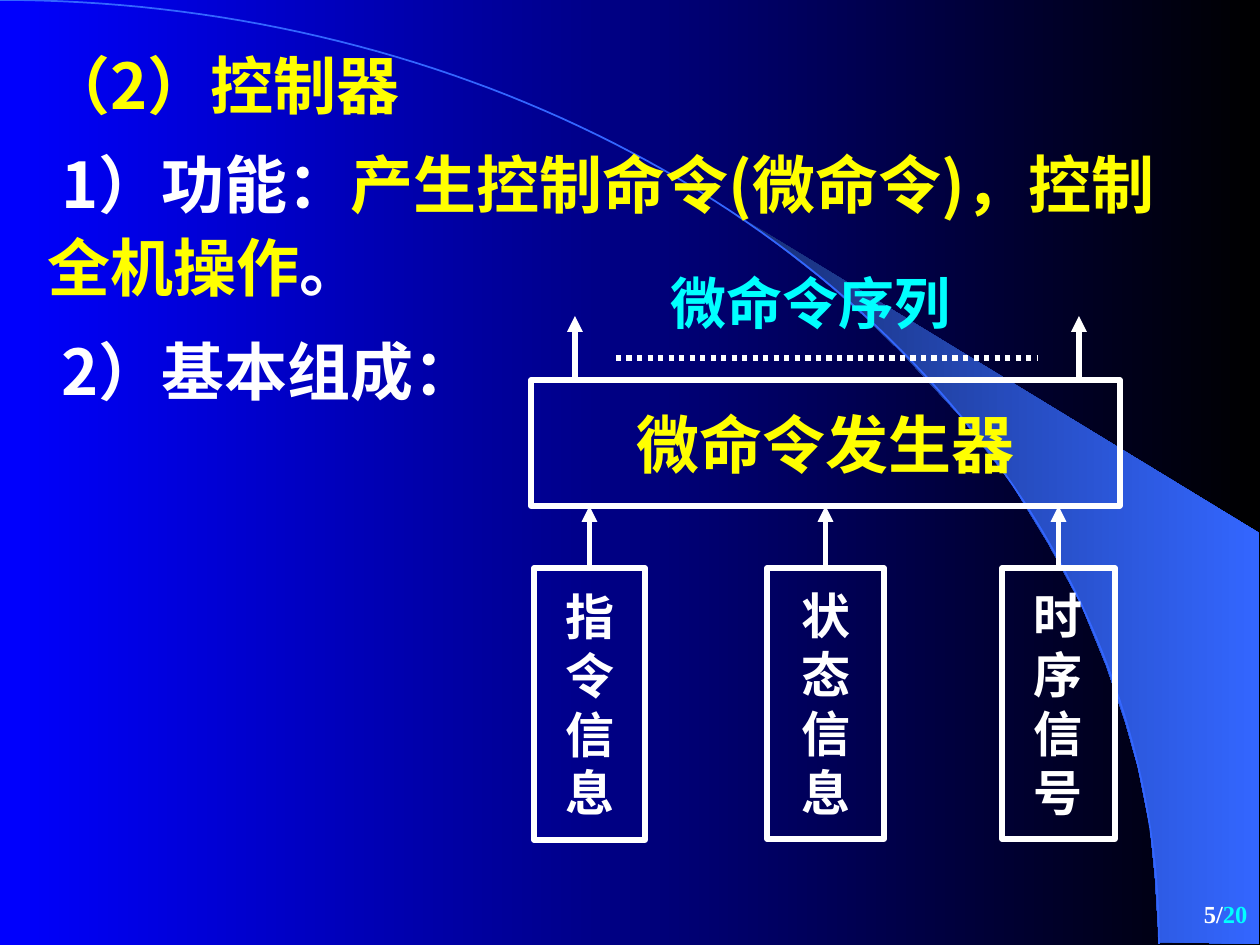
from math import cos, pi, sin

from lxml import etree
from pptx import Presentation
from pptx.dml.color import RGBColor
from pptx.enum.dml import MSO_LINE
from pptx.enum.shapes import MSO_CONNECTOR, MSO_SHAPE
from pptx.enum.text import MSO_ANCHOR, MSO_AUTO_SIZE, PP_ALIGN
from pptx.oxml.ns import qn
from pptx.util import Emu, Pt

STRAIGHT = MSO_CONNECTOR.STRAIGHT
RECT = MSO_SHAPE.RECTANGLE
DOTTED = MSO_LINE.ROUND_DOT
TOP, MIDDLE = MSO_ANCHOR.TOP, MSO_ANCHOR.MIDDLE
GROW, FIXED = MSO_AUTO_SIZE.SHAPE_TO_FIT_TEXT, MSO_AUTO_SIZE.NONE
LEFT, CENTER, RIGHT = PP_ALIGN.LEFT, PP_ALIGN.CENTER, PP_ALIGN.RIGHT

BLUE = RGBColor(0x00, 0x00, 0xFF)
BLACK = RGBColor(0x00, 0x00, 0x00)
NAVY = RGBColor(0x18, 0x2F, 0x76)
SKY = RGBColor(0x33, 0x66, 0xFF)
WHITE = RGBColor(0xFF, 0xFF, 0xFF)
YELLOW = RGBColor(0xFF, 0xFF, 0x00)
CYAN = RGBColor(0x00, 0xFF, 0xFF)

SANS, SERIF = "Noto Sans CJK SC", "Times New Roman"
WIDTH, HEIGHT = 1260, 945
BEAM = [
    (1159, 942), (1259, 944), (1259, 533), (742, 218), (786, 251), (823, 280),
    (863, 315), (902, 353), (960, 416), (1012, 484), (1048, 543), (1081, 604),
    (1106, 665), (1125, 721), (1138, 767), (1150, 827), (1155, 877),
]
ARC_STEPS = 90
ARC = [
    (1159 * sin(i * pi / 2 / ARC_STEPS), 944 * (1 - cos(i * pi / 2 / ARC_STEPS)))
    for i in range(ARC_STEPS + 1)
]
INPUTS = [
    (534, 111, 272, "指令信息"),
    (767, 117, 271, "状态信息"),
    (1002, 113, 271, "时序信号"),
]


def px(n):
    """Turn pixels into EMU."""
    return Emu(round(n * 914400 / 126))


def set_gradient(fill, first, last):
    """Fill from left to right between two colours."""
    fill.gradient()
    fill.gradient_angle = 0
    for stop, color, position in zip(fill.gradient_stops, (first, last), (0, 1)):
        stop.color.rgb = color
        stop.position = position


def add_text(p, text, size=36, color=WHITE, font=SERIF):
    """Append a bold run to a paragraph."""
    r = p.add_run()
    r.text = text
    r.font.size = Pt(size)
    r.font.bold = True
    r.font.color.rgb = color
    r.font.name = font
    etree.SubElement(r.font._element, qn("a:ea"), typeface=SANS)


def fill_frame(tf, paragraphs, align=LEFT, anchor=TOP, wrap=True, auto_size=FIXED, **fmt):
    """Write paragraphs, each a list of (text, colour) runs, and return them."""
    tf.word_wrap = wrap
    tf.auto_size = auto_size
    tf.vertical_anchor = anchor
    for i, runs in enumerate(paragraphs):
        p = tf.add_paragraph() if i else tf.paragraphs[0]
        p.alignment = align
        for text, color in runs:
            add_text(p, text, color=color, **fmt)
    return tf.paragraphs


def add_label(s, x, y, w, h, paragraphs, **fmt):
    """Add a text box and return its paragraphs."""
    sp = s.shapes.add_textbox(px(x), px(y), px(w), px(h))
    return fill_frame(sp.text_frame, paragraphs, **fmt)


def add_box(s, x, y, w, h, paragraphs, size):
    """Add an outlined rectangle with centred text."""
    sp = s.shapes.add_shape(RECT, px(x), px(y), px(w), px(h))
    sp.shadow.inherit = False
    sp.fill.background()
    sp.line.color.rgb = WHITE
    sp.line.width = Pt(3)
    fill_frame(sp.text_frame, paragraphs, align=CENTER, anchor=MIDDLE, wrap=False, size=size)
    return sp


def add_line(s, x1, y1, x2, y2, arrow=True):
    """Add a white arrow, or a dotted line without a head."""
    c = s.shapes.add_connector(STRAIGHT, px(x1), px(y1), px(x2), px(y2))
    c.line.color.rgb = WHITE
    c.line.width = Pt(3)
    spPr = c._element.spPr
    if arrow:
        etree.SubElement(spPr.find(qn("a:ln")), qn("a:tailEnd"), type="triangle")
    else:
        c.line.dash_style = DOTTED
    etree.SubElement(spPr, qn("a:effectLst"))
    return c


def add_outline(s, points, close):
    """Add a freeform through the points."""
    scaled = [(px(x), px(y)) for x, y in points]
    builder = s.shapes.build_freeform(*scaled[0], scale=1.0)
    builder.add_line_segments(scaled[1:], close=close)
    sp = builder.convert_to_shape()
    sp.shadow.inherit = False
    return sp


def add_backdrop(s):
    """Add the gradient background, the light beam and the arc."""
    set_gradient(s.background.fill, BLUE, BLACK)
    beam = add_outline(s, BEAM, close=True)
    set_gradient(beam.fill, NAVY, SKY)
    beam.line.fill.background()
    arc = add_outline(s, ARC, close=False)
    arc.fill.background()
    arc.line.color.rgb = SKY
    arc.line.width = Pt(1)


def add_outline_text(s):
    """Add the heading and the numbered points."""
    paragraphs = add_label(s, 35, 52, 1142, 363, [
        [("（2）控制器", YELLOW)],
        [(" 1）功能：", WHITE), ("产生控制命令(微命令)，控制全机操作", YELLOW), ("。", WHITE)],
        [(" 2）基本组成：", WHITE)],
    ], font=SANS, auto_size=GROW)
    for p, spacing, before in zip(paragraphs, (0.85, 1.1, 0.85), (22.5, 9, 22.5)):
        p.line_spacing = spacing
        p.space_before = Pt(before)


def add_diagram(s):
    """Add the generator with its inputs and its output sequence."""
    generator = add_box(s, 531, 380, 589, 126, [[("微命令发生器", YELLOW)]], size=36)
    for x, w, h, text in INPUTS:
        box = add_box(s, x, 568, w, h, [[(ch, WHITE)] for ch in text], size=28)
        center = x + w / 2
        arrow = add_line(s, center, 568, center, 506)
        arrow.begin_connect(box, 0)
        if box.left + box.width // 2 == generator.left + generator.width // 2:
            arrow.end_connect(generator, 2)
    for x in (575, 1079):
        add_line(s, x, 379, x, 316)
    add_line(s, 616, 358, 1037, 358, arrow=False)
    p, = add_label(s, 658, 262, 333, 81, [[("微命令序列", CYAN)]], size=32, auto_size=GROW)
    p.space_before = Pt(20)


def main():
    """Build the slide and save it."""
    prs = Presentation()
    prs.slide_width, prs.slide_height = px(WIDTH), px(HEIGHT)
    s = prs.slides.add_slide(prs.slide_layouts[6])
    add_backdrop(s)
    add_outline_text(s)
    add_diagram(s)
    add_label(s, 998, 882, 262, 63, [[("5/", WHITE), ("20", CYAN)]],
              align=RIGHT, anchor=MIDDLE, size=14)
    prs.save("out.pptx")


if __name__ == "__main__":
    main()
